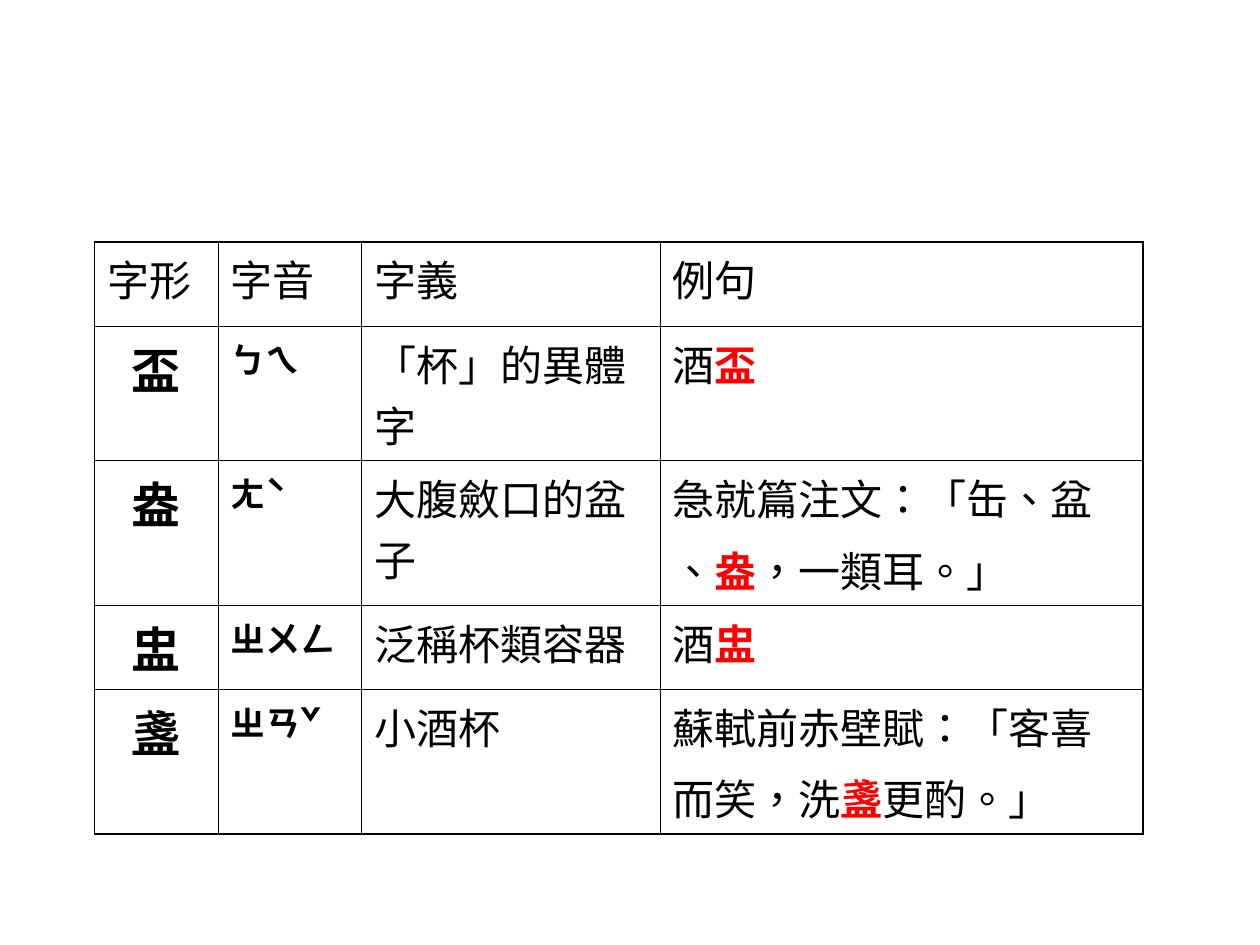
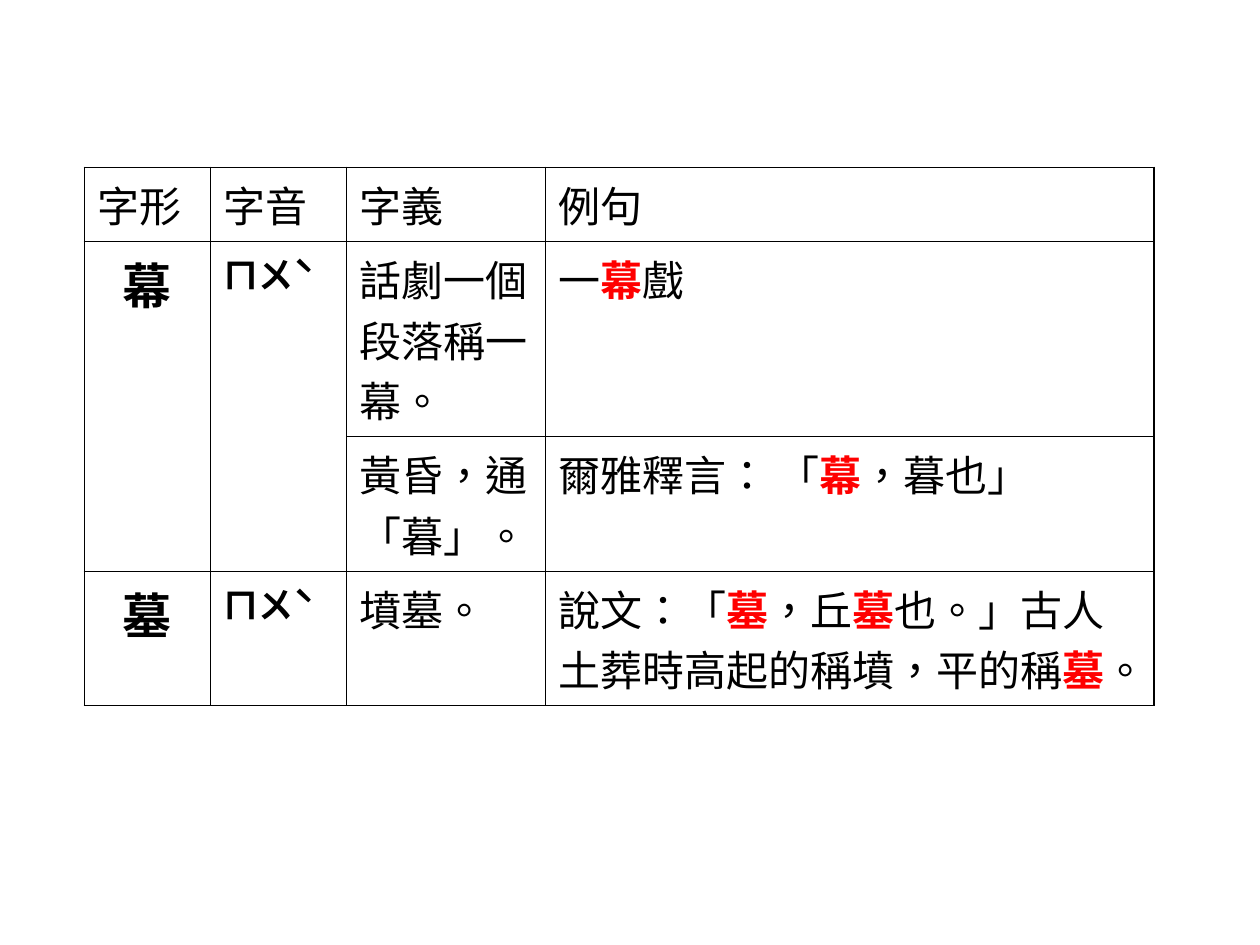
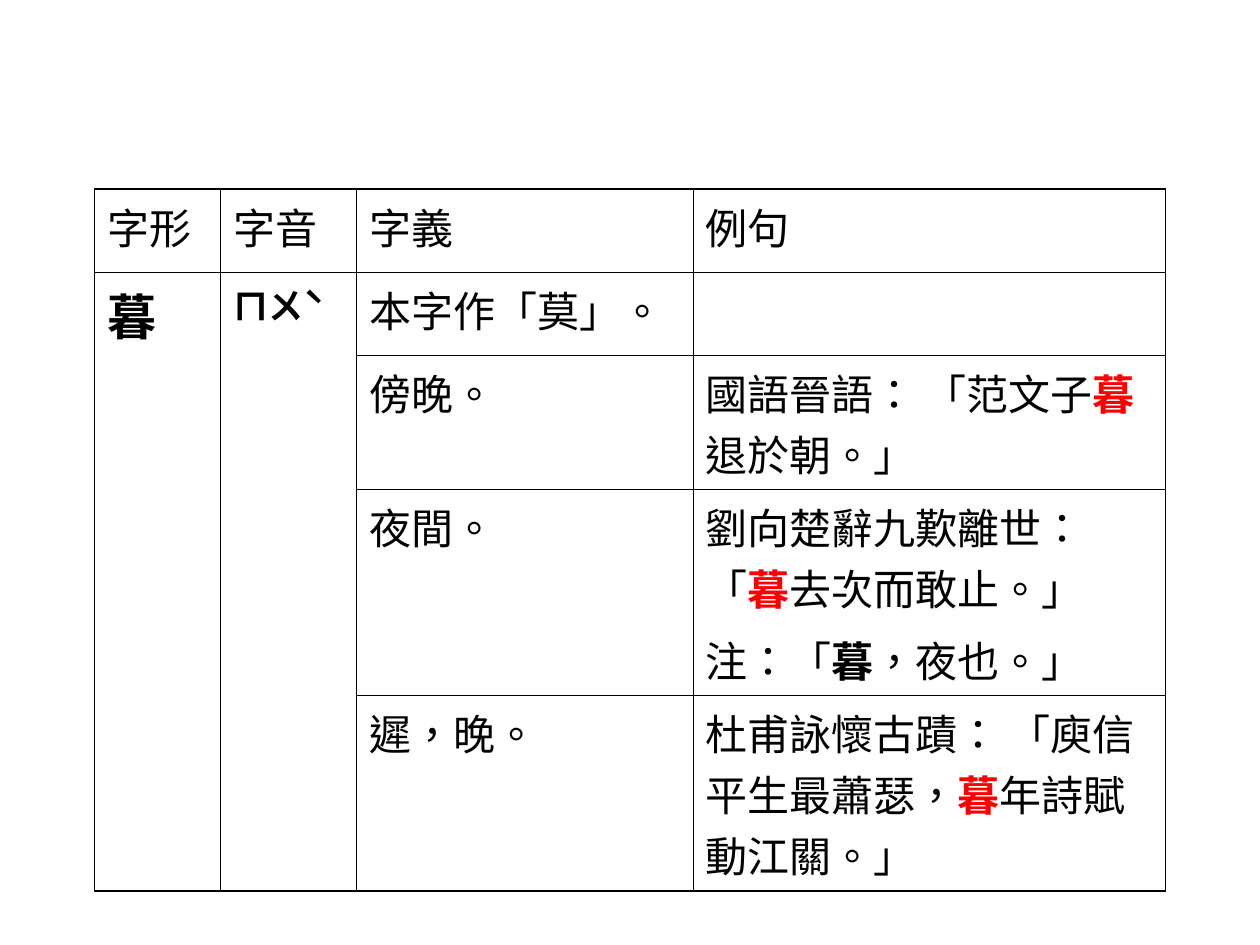
import pptx
import pptx.util
import pptx.dml.color
import pptx.enum.text
import pptx.oxml.ns
import lxml.etree

Inches, Pt = pptx.util.Inches, pptx.util.Pt
qn = pptx.oxml.ns.qn

COLORS = {"text": "000000", "accent": "FF0000"}
FONT = "Times New Roman"
HEADERS = ["字形", "字音", "字義", "例句"]
OUTER, INNER = 1.08, 0.45

# Column styles: size, space before, bold
HEADER = (24, 6, False)
BODY = [(28, 7, True), (20, 5, True), HEADER, HEADER]


class Deck:
    def __init__(self):
        self.prs = pptx.Presentation()
        self.prs.slide_width, self.prs.slide_height = Inches(10), Inches(7.5)
        self.s = None

    def slide(self):
        self.s = self.prs.slides.add_slide(self.prs.slide_layouts[6])

    def add_text(self, p, text, size, bold, color):
        r = p.add_run()
        r.text = text
        r.font.size, r.font.bold, r.font.name = Pt(size), bold, FONT
        r.font.color.rgb = pptx.dml.color.RGBColor.from_string(COLORS[color])
        r._r.get_or_add_rPr().set("lang", "zh-TW")

    def fill_cell(self, cell, text, style, align=None):
        """Fill a cell; *word* is bold and red, _word_ is bold."""
        size, before, bold = style
        tf = cell.text_frame
        for i, line in enumerate(text.split("\n")):
            p = tf.add_paragraph() if i else tf.paragraphs[0]
            p.space_before, p.alignment = Pt(before), align
            mark, color = ("_", "text") if "_" in line else ("*", "accent")
            for k, part in enumerate(line.split(mark)):
                if part:
                    marked = k % 2 == 1
                    self.add_text(p, part, size, bold or marked, color if marked else "text")

    def borders(self, cell, widths):
        tcPr = cell._tc.get_or_add_tcPr()
        for side, width in zip("LRTB", widths):
            ln = lxml.etree.SubElement(tcPr, qn(f"a:ln{side}"), w=str(Pt(width)))
            fill = lxml.etree.SubElement(ln, qn("a:solidFill"))
            lxml.etree.SubElement(fill, qn("a:srgbClr"), val=COLORS["text"])
        cell.fill.background()

    def word_table(self, left, top, cols, heights, rows, merges=(),
                   align=pptx.enum.text.PP_ALIGN.CENTER):
        """merges holds (first row, last row) pairs for the first two columns."""
        n_rows, n_cols = len(heights), len(cols)
        frame = self.s.shapes.add_table(n_rows, n_cols, Inches(left), Inches(top),
                                        Inches(sum(cols)), Inches(sum(heights)))
        table = frame.table
        table.first_row = table.horz_banding = False
        for col, width in zip(table.columns, cols):
            col.width = Inches(width)
        for row, height in zip(table.rows, heights):
            row.height = Inches(height)
        for first, last in merges:
            for c in range(2):
                table.cell(first, c).merge(table.cell(last, c))

        for i, texts in enumerate([HEADERS] + rows):
            for c, text in enumerate(texts):
                cell = table.cell(i, c)
                bottom = i + (cell.span_height if cell.is_merge_origin else 1)
                edges = (c == 0, c == n_cols - 1, i == 0, bottom == n_rows)
                self.borders(cell, [OUTER if edge else INNER for edge in edges])
                if text:
                    self.fill_cell(cell, text, BODY[c] if i else HEADER,
                                   align if i and c == 0 else None)


def main():
    deck = Deck()

    # Cups and basins
    deck.slide()
    deck.word_table(0.75, 1.92, [0.98, 1.14, 2.37, 3.83], [0.67, 0.9, 0.99, 0.61, 0.99], [
        ["盃", "ㄅㄟ", "「杯」的異體字", "酒*盃*"],
        ["盎", "ㄤˋ", "大腹斂口的盆子", "急就篇注文：「缶、盆\n、*盎*，一類耳。」"],
        ["盅", "ㄓㄨㄥ", "泛稱杯類容器", "酒*盅*"],
        ["盞", "ㄓㄢˇ", "小酒杯", "蘇軾前赤壁賦：「客喜\n而笑，洗*盞*更酌。」"],
    ])

    # Curtain and grave
    deck.slide()
    deck.word_table(0.67, 1.33, [1, 1.08, 1.58, 4.83], [0.55, 1.3, 0.9, 0.9], [
        ["幕", "ㄇㄨˋ", "話劇一個段落稱一幕。", "一*幕*戲"],
        ["", "", "黃昏，通「暮」。", "爾雅釋言： 「*幕*，暮也」"],
        ["墓", "ㄇㄨˋ", "墳墓。",
         "說文：「*墓*，丘*墓*也。」古人土葬時高起的稱墳，平的稱*墓*。"],
    ], merges=[(1, 2)])

    # Dusk
    deck.slide()
    deck.word_table(0.75, 1.5, [1, 1.08, 2.67, 3.75], [0.66, 0.66, 0.9, 1.39, 1.3], [
        ["暮", "ㄇㄨˋ", "本字作「莫」。", ""],
        ["", "", "傍晚。", "國語晉語： 「范文子*暮*退於朝。」"],
        ["", "", "夜間。", "劉向楚辭九歎離世：「*暮*去次而敢止。」\n注：「_暮_，夜也。」"],
        ["", "", "遲，晚。", "杜甫詠懷古蹟： 「庾信平生最蕭瑟，*暮*年詩賦動江關。」"],
    ], merges=[(1, 4)], align=None)

    deck.prs.save("out.pptx")


if __name__ == "__main__":
    main()
